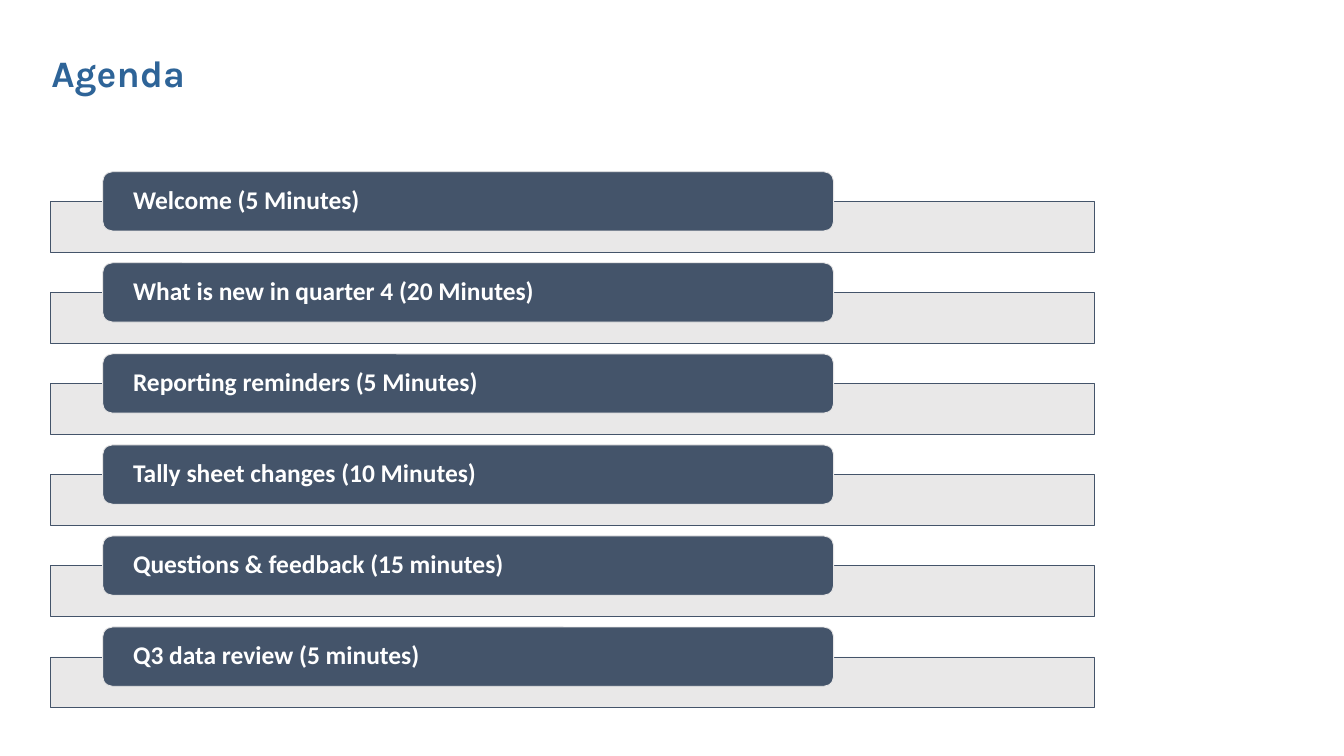
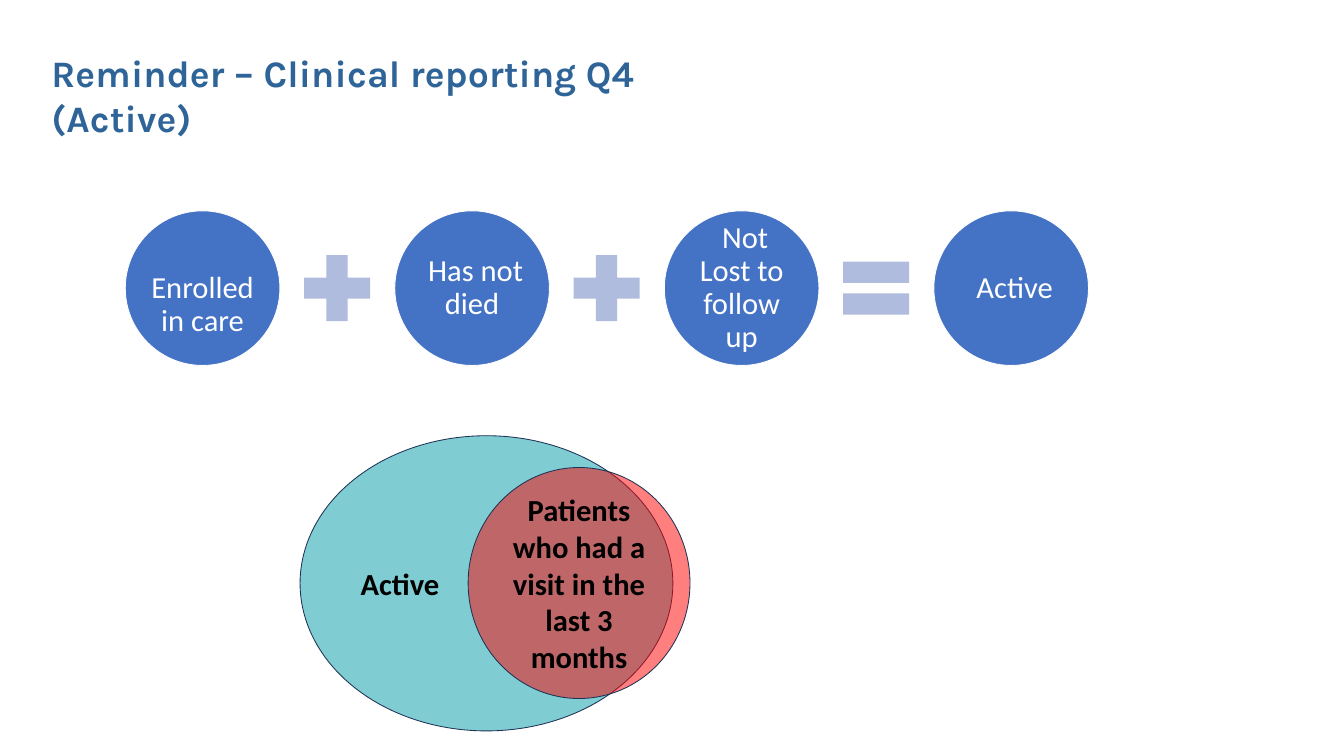
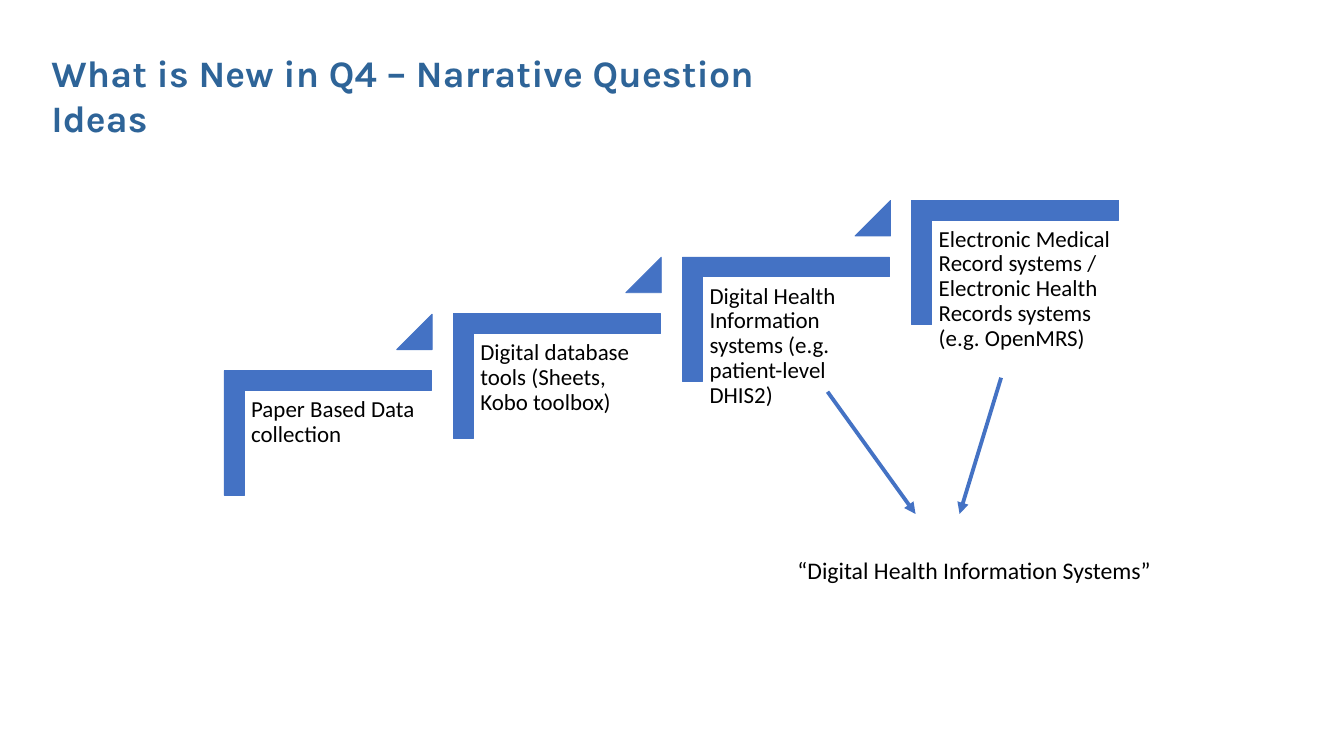
from lxml import etree
from pptx import Presentation
from pptx.dml.color import RGBColor
from pptx.enum.shapes import MSO_CONNECTOR, MSO_SHAPE
from pptx.enum.text import MSO_ANCHOR, MSO_AUTO_SIZE, PP_ALIGN
from pptx.oxml.ns import qn
from pptx.util import Inches, Pt

TITLE_BLUE = RGBColor(0x2E, 0x64, 0x98)
SLATE = RGBColor(0x44, 0x54, 0x6A)
PALE_GREY = RGBColor(0xE7, 0xE6, 0xE6)
BLUE = RGBColor(0x44, 0x72, 0xC4)
PALE_BLUE = RGBColor(0xB0, 0xBC, 0xDE)
NAVY = RGBColor(0x1E, 0x32, 0x56)
TEAL = RGBColor(0x00, 0x9C, 0xA6)
RED = RGBColor(0xFF, 0x00, 0x00)
BLACK = RGBColor(0x00, 0x00, 0x00)
WHITE = RGBColor(0xFF, 0xFF, 0xFF)

TITLE_FONT = "Karla"
BODY_FONT = "Calibri"


def set_text(sp, text, size, color, bold=False, font=BODY_FONT, align=PP_ALIGN.LEFT,
             anchor=MSO_ANCHOR.TOP, insets=(0.1, 0.05, 0.1, 0.05), spacing=None):
    """Fill a shape with one paragraph; insets are left, top, right, bottom in inches."""
    tf = sp.text_frame
    frame = {"word_wrap": True, "auto_size": MSO_AUTO_SIZE.NONE, "vertical_anchor": anchor}
    for side, inset in zip(("left", "top", "right", "bottom"), insets):
        frame["margin_" + side] = Inches(inset)
    for name, value in frame.items():
        setattr(tf, name, value)
    p = tf.paragraphs[0]
    p.alignment = align
    p.line_spacing = spacing
    r = p.add_run()
    r.text = text
    for name, value in {"name": font, "size": Pt(size), "bold": bold}.items():
        setattr(r.font, name, value)
    r.font.color.rgb = color
    return r


def add_title_slide(prs, title, width):
    s = prs.slides.add_slide(prs.slide_layouts[5])
    sp = s.shapes.title
    box = {"left": 0.83, "top": 0.8, "width": width, "height": 0.76}
    for name, value in box.items():
        setattr(sp, name, Inches(value))
    r = set_text(sp, title, 44, TITLE_BLUE, bold=True, font=TITLE_FONT,
                 insets=(0.01, 0.02, 0, 0))
    r.font._element.set("spc", "20")
    return s


def add_shape(s, preset, box, fill, line=None, opacity=100):
    sp = s.shapes.add_shape(preset, *map(Inches, box))
    sp.shadow.inherit = False
    sp.fill.solid()
    sp.fill.fore_color.rgb = fill
    if opacity < 100:
        color = sp._element.spPr.find(".//" + qn("a:srgbClr"))
        etree.SubElement(color, qn("a:alpha"), val=str(opacity * 1000))
    if line is None:
        sp.line.fill.background()
    else:
        sp.line.color.rgb = line
        sp.line.width = Pt(1)
    return sp


def add_label(s, box, text, size, **style):
    sp = s.shapes.add_textbox(*map(Inches, box))
    set_text(sp, text, size, BLACK, **style)


def add_arrow(s, start, end):
    cn = s.shapes.add_connector(MSO_CONNECTOR.STRAIGHT, *map(Inches, start + end))
    cn.line.color.rgb = BLUE
    cn.line.width = Pt(4.5)
    spPr = cn._element.spPr
    etree.SubElement(spPr.find(qn("a:ln")), qn("a:tailEnd"), type="triangle")
    etree.SubElement(spPr, qn("a:effectLst"))


def add_agenda_item(s, top, text):
    add_shape(s, MSO_SHAPE.RECTANGLE, (0.83, top + 0.49, 17.08, 0.83), PALE_GREY, SLATE, 90)
    tab = add_shape(s, MSO_SHAPE.ROUNDED_RECTANGLE, (1.68, top, 11.96, 0.97), SLATE, PALE_GREY)
    set_text(tab, text, 30, WHITE, bold=True, anchor=MSO_ANCHOR.MIDDLE,
             insets=(0.45, 0, 0.45, 0), spacing=0.9)


def build_agenda(prs):
    s = add_title_slide(prs, "Agenda", 7.67)
    items = ("Welcome (5 Minutes)", "What is new in quarter 4 (20 Minutes)",
             "Reporting reminders (5 Minutes)", "Tally sheet changes (10 Minutes)",
             "Questions & feedback (15 minutes)", "Q3 data review (5 minutes)")
    for i, item in enumerate(items):
        add_agenda_item(s, 2.81 + 1.49 * i, item)


def add_equation(s):
    terms = (" Enrolled in care", "\N{NO-BREAK SPACE}Has not died",
             " Not Lost to follow up", " Active")
    operators = (MSO_SHAPE.MATH_PLUS, MSO_SHAPE.MATH_PLUS, MSO_SHAPE.MATH_EQUAL)
    step = 4.41
    for i, term in enumerate(terms):
        circle = add_shape(s, MSO_SHAPE.OVAL, (2.05 + step * i, 3.45, 2.53, 2.53), BLUE, WHITE)
        set_text(circle, term, 36, WHITE, align=PP_ALIGN.CENTER, anchor=MSO_ANCHOR.MIDDLE,
                 insets=(0.05,) * 4, spacing=0.9)
    for i, operator in enumerate(operators):
        add_shape(s, operator, (4.78 + step * i, 3.98, 1.47, 1.47), PALE_BLUE)


def build_active_reminder(prs):
    s = add_title_slide(prs, "Reminder – Clinical reporting Q4 (Active)", 11.5)
    add_equation(s)
    venn = (
        ((4.91, 7.13, 6.1, 4.83), TEAL, "Active", PP_ALIGN.LEFT),
        ((7.66, 7.65, 3.63, 3.78), RED, "Patients who had a visit in the last 3 months",
         PP_ALIGN.CENTER),
    )
    for box, fill, text, align in venn:
        sp = add_shape(s, MSO_SHAPE.OVAL, box, fill, NAVY, 50)
        set_text(sp, text, 36, BLACK, bold=True, align=align, anchor=MSO_ANCHOR.MIDDLE)


def add_step(s, left, top, text, has_next):
    """Draw one stair; left and top are those of its text."""
    corner = add_shape(s, MSO_SHAPE.CORNER, (left + 0.34, top - 1.01, 2.04, 3.39), BLUE, BLUE)
    corner.rotation = 90
    for i in range(2):
        corner.adjustments[i] = 0.16
    add_label(s, (left, top, 3.06, 2.69), text, 27, insets=(0.11,) * 4, spacing=0.9)
    if has_next:
        triangle = add_shape(s, MSO_SHAPE.ISOSCELES_TRIANGLE,
                             (left + 2.49, top - 1.26, 0.58, 0.58), BLUE, BLUE)
        triangle.adjustments[0] = 1


def build_narrative_ideas(prs):
    s = add_title_slide(prs, "What is New in Q4 – Narrative Question Ideas", 12.71)
    steps = ("Paper Based Data collection", "Digital database tools (Sheets, Kobo toolbox)",
             "Digital Health Information systems (e.g. patient-level DHIS2)",
             "Electronic Medical Record systems / Electronic Health Records systems "
             "(e.g. OpenMRS)")
    for i, step in enumerate(steps):
        add_step(s, 4 + 3.75 * i, 6.4 - 0.93 * i, step, i < len(steps) - 1)
    add_arrow(s, (13.54, 6.41), (14.98, 8.41))
    add_arrow(s, (16.38, 6.18), (15.7, 8.41))
    add_label(s, (12.95, 9.05, 6.21, 0.57), "“Digital Health Information Systems”", 28)


def main():
    prs = Presentation()
    prs.slide_width, prs.slide_height = Inches(21.99), Inches(12.37)
    build_agenda(prs)
    build_active_reminder(prs)
    build_narrative_ideas(prs)
    prs.save("out.pptx")


if __name__ == "__main__":
    main()
